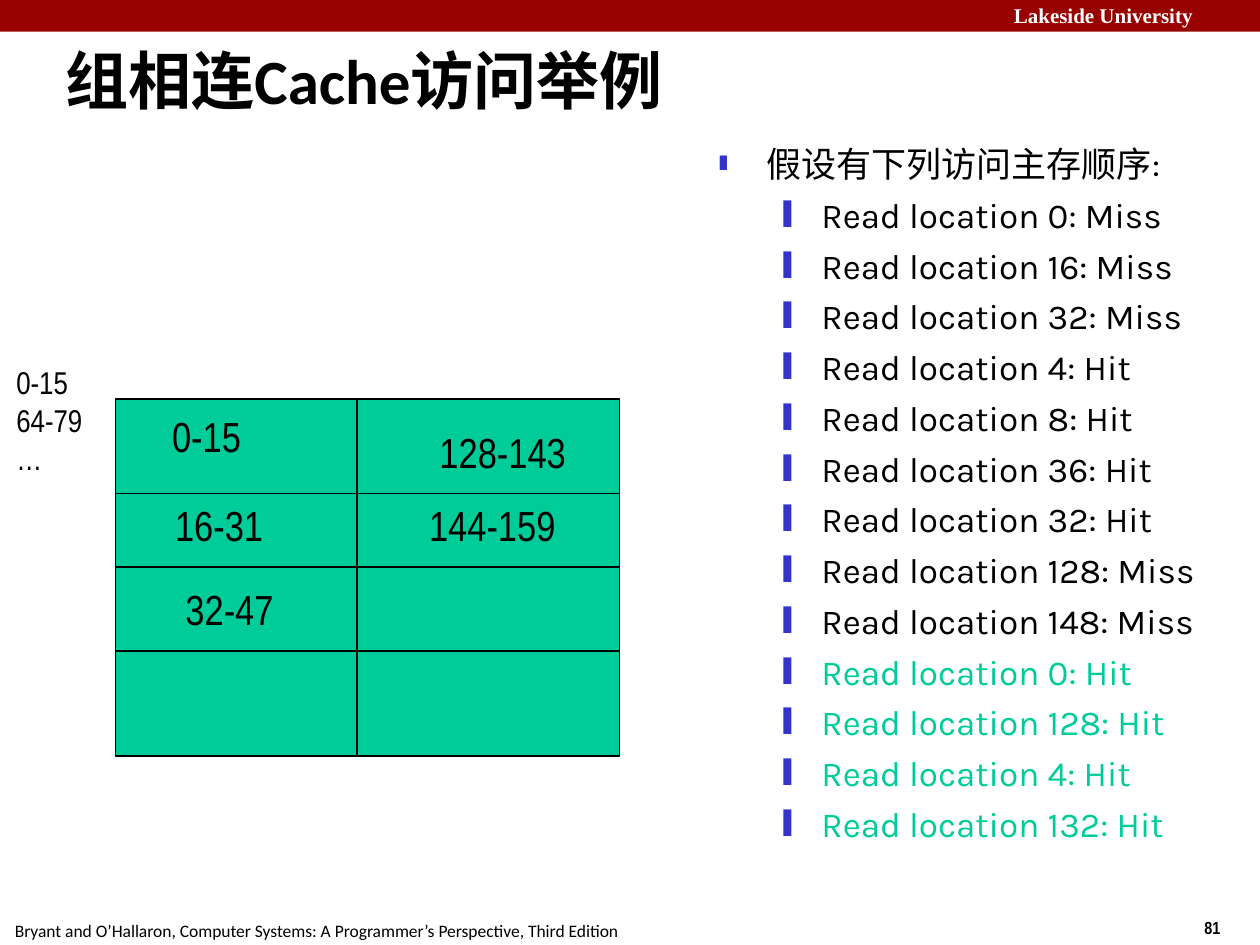
from lxml import etree
from pptx import Presentation
from pptx.dml.color import RGBColor
from pptx.enum.shapes import MSO_CONNECTOR, MSO_SHAPE
from pptx.enum.text import MSO_ANCHOR, MSO_AUTO_SIZE
from pptx.oxml.ns import qn
from pptx.util import Cm, Pt

BLACK = RGBColor(0x00, 0x00, 0x00)
WHITE = RGBColor(0xFF, 0xFF, 0xFF)
DARK_RED = RGBColor(0x99, 0x00, 0x00)
GREEN = RGBColor(0x00, 0xCC, 0x99)
BULLET_BLUE = RGBColor(0x33, 0x33, 0xCC)

prs = Presentation()
prs.slide_width, prs.slide_height = Cm(25.4), Cm(19.05)
slide = prs.slides.add_slide(prs.slide_layouts[6])
shapes = slide.shapes


def add_text(lines, left, top, width, height, font, size,
             color=BLACK, bold=False, wrap=False):
    """Add a text box with one paragraph per line; lengths in cm."""
    frame = shapes.add_textbox(Cm(left), Cm(top), Cm(width), Cm(height)).text_frame
    frame.word_wrap = wrap
    if not wrap:
        frame.auto_size = MSO_AUTO_SIZE.SHAPE_TO_FIT_TEXT
    frame.text = "\n".join(lines)
    for paragraph in frame.paragraphs:
        paragraph.font.name = font
        paragraph.font.size = Pt(size)
        paragraph.font.bold = bold
        paragraph.font.color.rgb = color
    return frame


def set_bullet(paragraph, char, percent, margin, hanging):
    """Give a paragraph a coloured bullet and a hanging indent in cm."""
    props = paragraph._p.get_or_add_pPr()
    props.set("marL", str(Cm(margin)))
    props.set("indent", str(-Cm(hanging)))
    color = etree.Element(qn("a:buClr"))
    etree.SubElement(color, qn("a:srgbClr"), val=str(BULLET_BLUE))
    size = etree.Element(qn("a:buSzPct"), val=str(percent * 1000))
    font = etree.Element(qn("a:buFont"), typeface="Times New Roman")
    mark = etree.Element(qn("a:buChar"), char=char)
    default_font = props.find(qn("a:defRPr"))
    for element in (color, size, font, mark):
        default_font.addprevious(element)


# Header, footer and title
banner = shapes.add_shape(MSO_SHAPE.RECTANGLE, 0, 0, prs.slide_width, Cm(0.64))
banner.shadow.inherit = False
banner.fill.solid()
banner.fill.fore_color.rgb = DARK_RED
banner.line.fill.background()

add_text(["Lakeside University"], 20.19, -0.08, 5.38, 0.76,
         "Times New Roman", 12, WHITE, bold=True, wrap=True)
add_text(["81"], 24.03, 18.36, 1.9, 0.69, "Arial Narrow", 10, bold=True, wrap=True)
add_text(["Bryant and O’Hallaron, Computer Systems: A Programmer’s Perspective, "
          "Third Edition"], 0.05, 18.42, 12.73, 0.69, "Calibri", 10)
title = add_text(["组相连Cache访问举例"], 1.07, 0, 21.59, 3.18,
                 "Calibri", 36, bold=True, wrap=True)
title.vertical_anchor = MSO_ANCHOR.MIDDLE

# Access sequence; the second pass over cached blocks is green
first_reads = ["0: Miss", "16: Miss", "32: Miss", "4: Hit", "8: Hit",
               "36: Hit", "32: Hit", "128: Miss", "148: Miss"]
later_reads = ["0: Hit", "128: Hit", "4: Hit", "132: Hit"]
reads = [f"Read location {read}" for read in first_reads + later_reads]
sequence = add_text(["假设有下列访问主存顺序:"] + reads,
                    14.25, 2.75, 11.15, 15.67, "Karla", 20, wrap=True)
heading, *read_lines = sequence.paragraphs
set_bullet(heading, "❚", 60, 0.95, 0.95)
for line in read_lines:
    line.level = 1
    set_bullet(line, "❙", 110, 2.06, 0.79)
for line in read_lines[len(first_reads):]:
    line.font.color.rgb = GREEN
for line in sequence.paragraphs:
    line.space_before = Pt(5)

# Two-way cache with four sets
LEFT, MIDDLE, RIGHT = 2.33, 7.2, 12.49
TOP, BOTTOM = 8.05, 15.24
cache = shapes.add_shape(MSO_SHAPE.RECTANGLE, Cm(LEFT), Cm(TOP),
                         Cm(RIGHT - LEFT), Cm(BOTTOM - TOP))
cache.shadow.inherit = False
cache.fill.solid()
cache.fill.fore_color.rgb = GREEN
cache.line.color.rgb = BLACK
cache.line.width = Pt(1)

dividers = [(LEFT, y, RIGHT, y) for y in (9.95, 11.43, 13.12)]
dividers.append((MIDDLE, TOP, MIDDLE, BOTTOM))
for ends in dividers:
    divider = shapes.add_connector(MSO_CONNECTOR.STRAIGHT, *map(Cm, ends))
    divider.line.color.rgb = BLACK
    divider.line.width = Pt(1)
    etree.SubElement(divider._element.spPr, qn("a:effectLst"))

# Address ranges beside and inside the cache
add_text(["0-15", "64-79", "…"], 0.08, 7.2, 1.9, 2.54, "Arial Narrow", 18)
cached_blocks = [
    ("0-15", 3.22, 8.15, 1.95),
    ("16-31", 3.28, 9.95, 2.3),
    ("32-47", 3.49, 11.64, 2.3),
    ("128-143", 8.61, 8.47, 3.05),
    ("144-159", 8.4, 9.95, 3.05),
]
for addresses, left, top, width in cached_blocks:
    add_text([addresses], left, top, width, 1.27, "Arial Narrow", 24)

prs.save("out.pptx")
